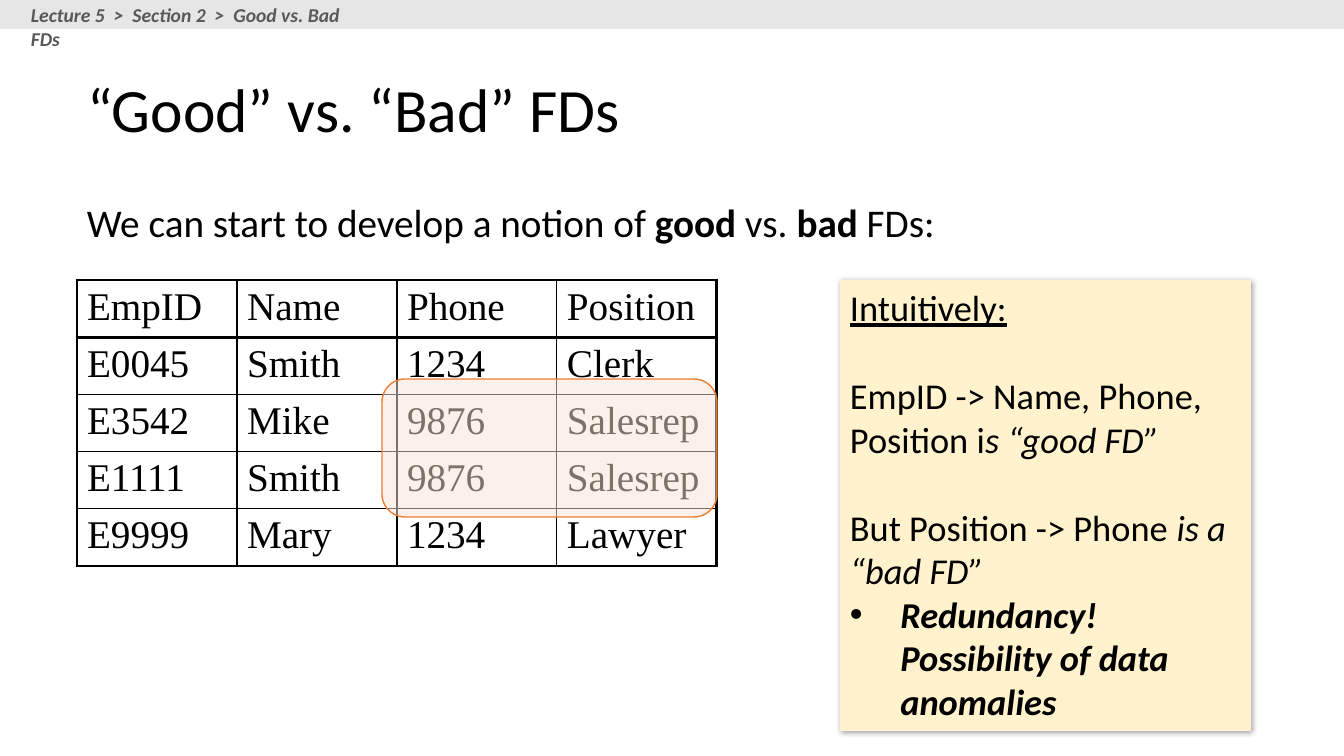
from lxml.etree import SubElement
from pptx import Presentation
from pptx.dml.color import RGBColor
from pptx.enum.shapes import MSO_SHAPE
from pptx.enum.text import MSO_ANCHOR, MSO_AUTO_SIZE, PP_ALIGN
from pptx.oxml import parse_xml
from pptx.oxml.ns import nsdecls, qn
from pptx.util import Emu, Pt

EMU_PER_PX = 914400 / 100.8


def px(*lengths):
    return [Emu(round(length * EMU_PER_PX)) for length in lengths]


def write(para, runs, size, color="000000", name="Calibri"):
    """Add (text, format values) runs to a left-aligned paragraph."""
    para.alignment = PP_ALIGN.LEFT
    for text, extra in runs:
        span = para.add_run()
        span.text = text
        span.font.color.rgb = RGBColor.from_string(color)
        for key, value in {"size": Pt(size), "name": name, **extra}.items():
            setattr(span.font, key, value)


BOLD, ITALIC = {"bold": True}, {"italic": True}

deck = Presentation()
deck.slide_width, deck.slide_height = px(1344, 756)
page = deck.slides.add_slide(deck.slide_layouts[5])
shapes = page.shapes

# Title
title = shapes.title
title.left, title.top, title.width, title.height = px(77, 40, 1174, 146)
title.text_frame.auto_size = MSO_AUTO_SIZE.NONE
title.text_frame.vertical_anchor = MSO_ANCHOR.MIDDLE
title_para = title.text_frame.paragraphs[0]
title_para.line_spacing = 0.9
write(title_para, [("“Good” vs. “Bad” FDs", {})], 44)

# Lead sentence
lead = shapes.add_textbox(*px(77, 193, 878, 57))
lead.text_frame.word_wrap = False
write(lead.text_frame.paragraphs[0], [
    ("We can start to develop a notion of ", {}), ("good ", BOLD),
    ("vs. ", {}), ("bad", BOLD), (" FDs:", {}),
], 28)

# Employee table: thick frame and header rule, thin inner lines
employees = [
    ["EmpID", "Name", "Phone", "Position"],
    ["E0045", "Smith", "1234", "Clerk"],
    ["E3542", "Mike", "9876", "Salesrep"],
    ["E1111", "Smith", "9876", "Salesrep"],
    ["E9999", "Mary", "1234", "Lawyer"],
]
last_row, last_column = len(employees) - 1, len(employees[0]) - 1
table = shapes.add_table(last_row + 1, last_column + 1,
                         *px(77, 280, 640, 285)).table
table.first_row = table.horz_banding = False
for row, record in enumerate(employees):
    for column, text in enumerate(record):
        cell = table.cell(row, column)
        cell.fill.background()
        write(cell.text_frame.paragraphs[0], [(text, {})], 28,
              name="Times New Roman")
        thick_sides = {"L": column == 0, "R": column == last_column,
                       "T": row <= 1, "B": row in (0, last_row)}
        for order, (side, thick) in enumerate(thick_sides.items()):
            border = parse_xml(
                f'<a:ln{side} {nsdecls("a")} w="{Pt(2.25 if thick else 1)}">'
                f'<a:solidFill><a:srgbClr val="000000"/></a:solidFill></a:ln{side}>')
            cell._tc.get_or_add_tcPr().insert(order, border)

# Intuition note with a soft shadow
note = shapes.add_shape(MSO_SHAPE.RECTANGLE, *px(840, 280, 411, 451))
note.fill.solid()
note.fill.fore_color.rgb = RGBColor.from_string("FFF2CC")
note.line.fill.background()
note.shadow.inherit = False
note._element.spPr.find(qn("a:effectLst")).append(parse_xml(
    f'<a:outerShdw {nsdecls("a")} blurRad="{Pt(4)}" dist="{Pt(1)}" dir="2700000" '
    'algn="tl" rotWithShape="0"><a:srgbClr val="000000"><a:alpha val="40000"/>'
    '</a:srgbClr></a:outerShdw>'))
frame = note.text_frame
frame.word_wrap = True
frame.vertical_anchor = MSO_ANCHOR.TOP
note_paragraphs = [
    (0, [("Intuitively:", {"underline": True})]),
    (31.7, [("EmpID -> Name, Phone, Position i", {}), ("s “good FD”", ITALIC)]),
    (31.7, [("But Position -> Phone ", {}), ("is a “bad FD”", ITALIC)]),
    (0, [("Redundancy! Possibility of data anomalies", {**BOLD, **ITALIC})]),
]
for index, (space, runs) in enumerate(note_paragraphs):
    para = frame.add_paragraph() if index else frame.paragraphs[0]
    para.space_before = Pt(space)
    write(para, runs, 26)

# Bullet on the closing line of the note
bullet = para._p.get_or_add_pPr()
bullet.set("marL", "457200")
bullet.set("indent", "-457200")
SubElement(bullet, qn("a:buFont"), typeface="Arial")
SubElement(bullet, qn("a:buChar"), char="•")

# Translucent highlight over the redundant cells
highlight = shapes.add_shape(MSO_SHAPE.ROUNDED_RECTANGLE, *px(382, 379, 335, 138))
highlight.shadow.inherit = False
highlight.fill.solid()
highlight.fill.fore_color.rgb = RGBColor.from_string("FBE5D6")
tint = highlight._element.spPr.find(qn("a:solidFill"))[0]
SubElement(tint, qn("a:alpha"), val="50000")
highlight.line.color.rgb = RGBColor.from_string("ED7D31")
highlight.line.width = Pt(1)

# Breadcrumb bar
bar = shapes.add_shape(MSO_SHAPE.RECTANGLE, *px(0, 0, 1344, 29))
bar.shadow.inherit = False
bar.fill.solid()
bar.fill.fore_color.rgb = RGBColor.from_string("E7E6E6")
bar.line.fill.background()
breadcrumb = shapes.add_textbox(*px(21, -2, 357, 34))
breadcrumb.text_frame.word_wrap = True
write(breadcrumb.text_frame.paragraphs[0],
      [("Lecture 5  >  Section 2  >  Good vs. Bad FDs", {**BOLD, **ITALIC})],
      14, "595959")

deck.save("out.pptx")
